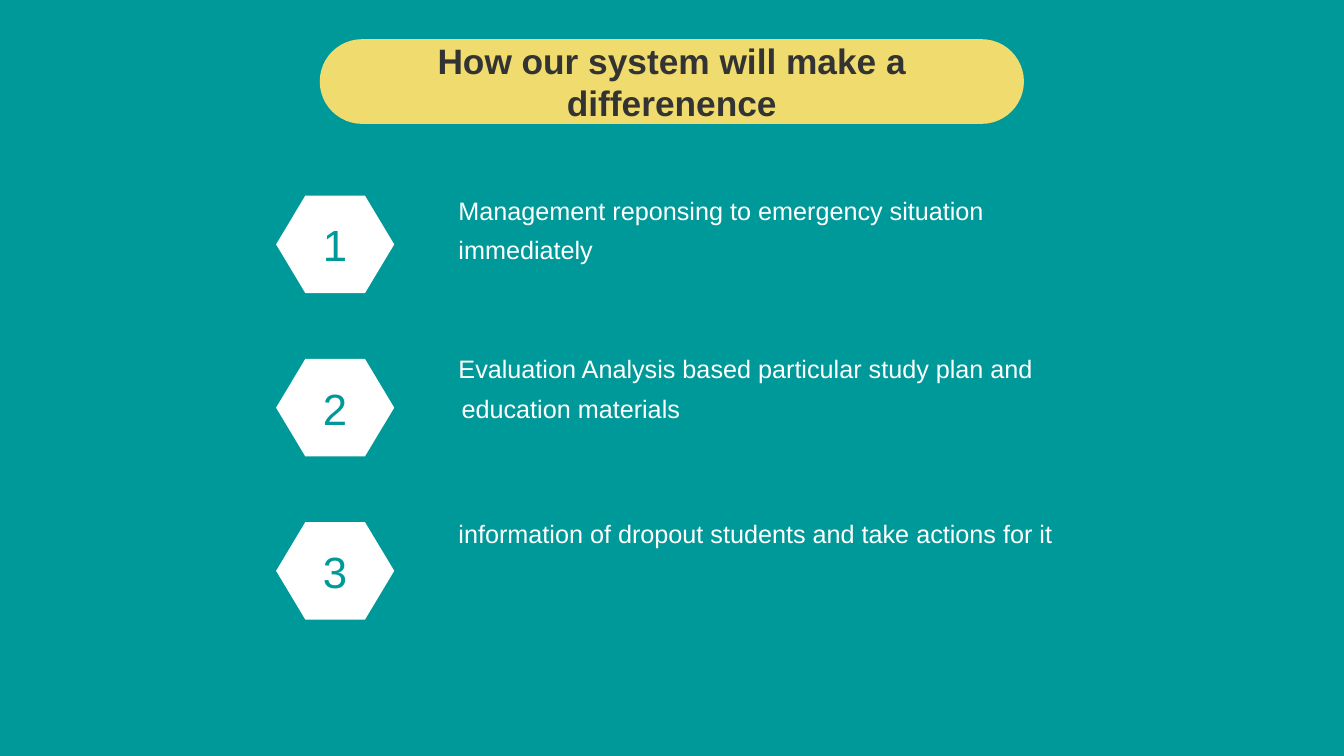
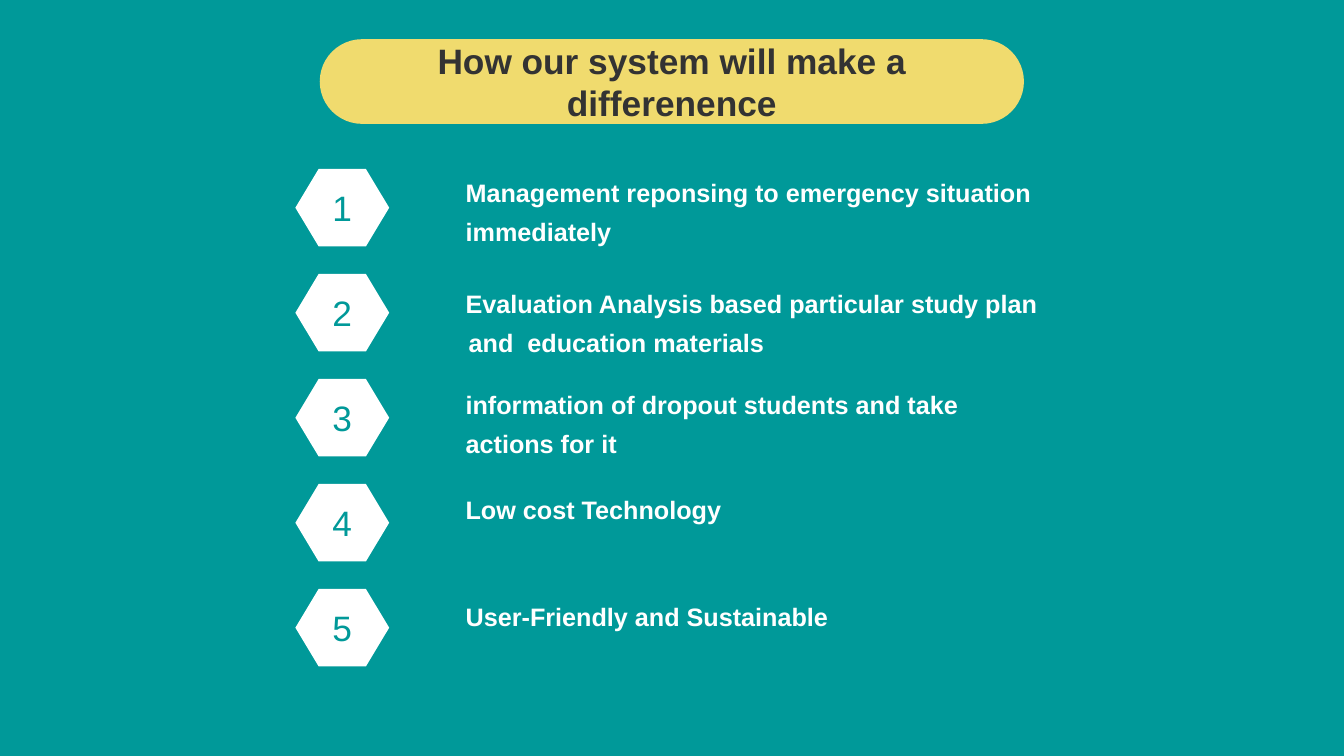
from dataclasses import dataclass

from pptx import Presentation
from pptx.dml.color import RGBColor
from pptx.enum.shapes import MSO_SHAPE
from pptx.enum.text import MSO_ANCHOR, PP_ALIGN
from pptx.presentation import Presentation as Deck
from pptx.shapes.autoshape import Shape
from pptx.slide import Slide
from pptx.text.text import _Paragraph as Paragraph
from pptx.util import Pt

TEAL = "009999"
YELLOW = "F0DB6E"
WHITE = "FFFFFF"
CHARCOAL = "333333"
FONT = "Arial"
TITLE = "How our system will make a differenence"
HANGING_INDENT = 2.2


@dataclass(frozen=True)
class Benefit:
    text: str
    hanging: bool = False


@dataclass(frozen=True)
class ListStyle:
    badge_left: float
    badge_top: float
    badge_width: float
    badge_height: float
    pitch: float
    number_size: float
    text_left: float
    text_width: float
    text_height: float
    text_tops: tuple[float, ...]
    bold: bool


BENEFITS = (
    Benefit("Management reponsing to emergency situation immediately"),
    Benefit(
        "Evaluation Analysis based particular study plan and  education materials",
        hanging=True,
    ),
    Benefit("information of dropout students and take actions for it"),
    Benefit("Low cost Technology"),
    Benefit("User-Friendly and Sustainable"),
)

SPACIOUS = ListStyle(
    badge_left=197.2, badge_top=139.7, badge_width=84.4, badge_height=69.8,
    pitch=116.6, number_size=31.2,
    text_left=320.4, text_width=467.3, text_height=113,
    text_tops=(129.6, 242.6, 360), bold=False,
)
COMPACT = ListStyle(
    badge_left=211, badge_top=120.7, badge_width=67, badge_height=55.4,
    pitch=75, number_size=25.2,
    text_left=325.5, text_width=432.7, text_height=76.3,
    text_tops=(116.6, 195.8, 267.8, 343.4, 419.8), bold=True,
)


def color(value: str) -> RGBColor:
    return RGBColor.from_string(value)


def style_font(paragraph: Paragraph, size: float, fill: str, bold: bool) -> None:
    font = paragraph.font
    font.name = FONT
    font.size = Pt(size)
    font.bold = bold
    font.color.rgb = color(fill)


def add_label(
    slide: Slide, kind: MSO_SHAPE, left: float, top: float, width: float,
    height: float, adjustment: float, fill: str, text: str, size: float,
    text_color: str, bold: bool = False,
) -> Shape:
    shape = slide.shapes.add_shape(kind, Pt(left), Pt(top), Pt(width), Pt(height))
    shape.adjustments[0] = adjustment
    shape.shadow.inherit = False
    shape.fill.solid()
    shape.fill.fore_color.rgb = color(fill)
    shape.line.fill.background()
    frame = shape.text_frame
    frame.word_wrap = True
    frame.vertical_anchor = MSO_ANCHOR.MIDDLE
    paragraph = frame.paragraphs[0]
    paragraph.text = text
    paragraph.alignment = PP_ALIGN.CENTER
    style_font(paragraph, size, text_color, bold)
    return shape


def add_benefit_text(
    slide: Slide, benefit: Benefit, top: float, style: ListStyle
) -> None:
    box = slide.shapes.add_textbox(
        Pt(style.text_left), Pt(top), Pt(style.text_width), Pt(style.text_height)
    )
    box.text_frame.word_wrap = True
    paragraph = box.text_frame.paragraphs[0]
    paragraph.text = benefit.text
    paragraph.line_spacing = 1.3
    paragraph.space_before = Pt(3.6)
    style_font(paragraph, 18, WHITE, style.bold)
    if benefit.hanging:
        properties = paragraph._p.get_or_add_pPr()
        properties.set("marL", str(Pt(HANGING_INDENT)))
        properties.set("indent", str(-Pt(HANGING_INDENT)))


def add_benefits_slide(presentation: Deck, style: ListStyle) -> None:
    slide = presentation.slides.add_slide(presentation.slide_layouts[6])
    for index, (benefit, text_top) in enumerate(zip(BENEFITS, style.text_tops)):
        add_label(
            slide, MSO_SHAPE.HEXAGON, style.badge_left,
            style.badge_top + index * style.pitch, style.badge_width,
            style.badge_height, 0.3, WHITE, str(index + 1),
            style.number_size, TEAL,
        )
        add_benefit_text(slide, benefit, text_top, style)
    add_label(
        slide, MSO_SHAPE.ROUNDED_RECTANGLE, 228.4, 28, 503, 60.5, 0.5,
        YELLOW, TITLE, 25.2, CHARCOAL, bold=True,
    )


def main() -> None:
    presentation = Presentation()
    presentation.slide_width = Pt(960)
    presentation.slide_height = Pt(540)
    background = presentation.slide_master.background.fill
    background.solid()
    background.fore_color.rgb = color(TEAL)
    for style in (SPACIOUS, COMPACT):
        add_benefits_slide(presentation, style)
    presentation.save("out.pptx")


if __name__ == "__main__":
    main()
